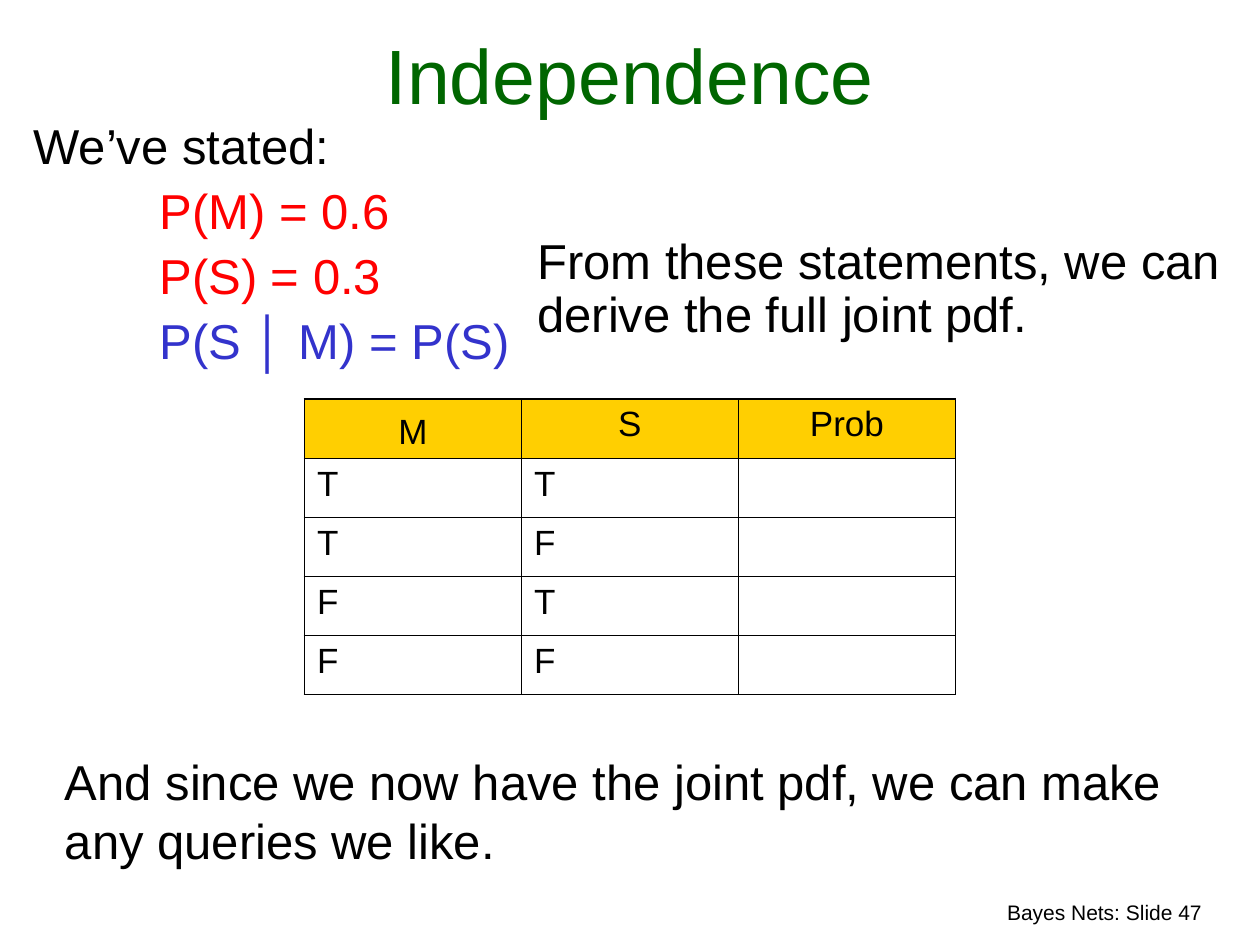
"""Build the Independence slide: stated probabilities, joint table and conclusion."""
from lxml.etree import SubElement
from pptx import Presentation
from pptx.dml.color import RGBColor
from pptx.enum.text import MSO_ANCHOR as Anchor, MSO_AUTO_SIZE as AutoSize, PP_ALIGN as Align
from pptx.oxml.ns import qn
from pptx.util import Pt

BLACK, GREEN, RED, BLUE, GOLD = "000000", "006600", "FF0000", "3333CC", "FFCF01"


def write(paragraph, text, size=28, color=BLACK, align=Align.LEFT, level=0,
          margin=0, indent=0, before=0, spacing=None):
    paragraph.level = level
    props = paragraph._p.get_or_add_pPr()
    props.set("marL", str(Pt(margin)))
    props.set("indent", str(Pt(indent)))
    SubElement(props, qn("a:buNone"))
    paragraph.alignment = align
    paragraph.space_before = Pt(before)
    paragraph.line_spacing = spacing
    run = paragraph.add_run()
    run.text = text
    run.font.name = "Arial"
    run.font.size = Pt(size)
    run.font.color.rgb = RGBColor.from_string(color)


def place(shape, left, top, width, height, anchor=Anchor.TOP):
    shape.left, shape.top, shape.width, shape.height = map(Pt, (left, top, width, height))
    frame = shape.text_frame
    frame.word_wrap = True
    frame.auto_size = AutoSize.NONE
    frame.vertical_anchor = anchor
    return frame.paragraphs[0]


deck = Presentation()
deck.slide_width, deck.slide_height = Pt(720), Pt(540)
slide = deck.slides.add_slide(deck.slide_layouts[1])
shapes = slide.shapes

footer = place(shapes.add_textbox(0, 0, 0, 0), 412, 510.5, 282, 21.6)
write(footer, "Bayes Nets: Slide 47", size=12, align=Align.RIGHT)

heading = place(shapes.title, 6, 12, 708, 60, Anchor.BOTTOM)
write(heading, "Independence", size=44, color=GREEN, align=Align.CENTER)

stated = slide.placeholders[1]
write(place(stated, 12, 66, 294, 222), "We’ve stated:", spacing=0.9)
for statement, color in (("P(M) = 0.6", RED), ("P(S) = 0.3", RED), ("P(S │ M) = P(S)", BLUE)):
    write(stated.text_frame.add_paragraph(), statement, color=color, level=2,
          margin=90, indent=-18, before=7, spacing=0.9)

joint_rows = [("M", "S", "Prob"), ("T", "T", ""), ("T", "F", ""), ("F", "T", ""), ("F", "F", "")]
row_count, column_count = len(joint_rows), len(joint_rows[0])
joint = shapes.add_table(row_count, column_count, Pt(174), Pt(228), Pt(372), Pt(169)).table
joint.first_row = joint.horz_banding = False
for column in joint.columns:
    column.width = Pt(124)
for r, values in enumerate(joint_rows):
    joint.rows[r].height = Pt(33.8)
    for c, value in enumerate(values):
        cell = joint.cell(r, c)
        outer_edges = {"L": c == 0, "R": c == column_count - 1,
                       "T": r == 0, "B": r == row_count - 1}
        for side, is_outer in outer_edges.items():
            border = SubElement(cell._tc.get_or_add_tcPr(), qn(f"a:ln{side}"),
                                w=str(Pt(1.08 if is_outer else 0.45)))
            SubElement(SubElement(border, qn("a:solidFill")), qn("a:srgbClr"), val=BLACK)
        if r == 0:
            cell.fill.solid()
            cell.fill.fore_color.rgb = RGBColor.from_string(GOLD)
        else:
            cell.fill.background()
        cell.vertical_anchor = Anchor.BOTTOM if value == "M" else Anchor.TOP
        if value:
            write(cell.text_frame.paragraphs[0], value, size=20,
                  align=Align.CENTER if r == 0 else Align.LEFT)

conclusion = place(shapes.add_textbox(0, 0, 0, 0), 30, 426, 666, 75)
write(conclusion, "And since we now have the joint pdf, we can make any queries we like.")

derivation = place(shapes.add_textbox(0, 0, 0, 0), 300, 132, 408, 90)
write(derivation, "From these statements, we can derive the full joint pdf.", spacing=0.9)

deck.save("out.pptx")
